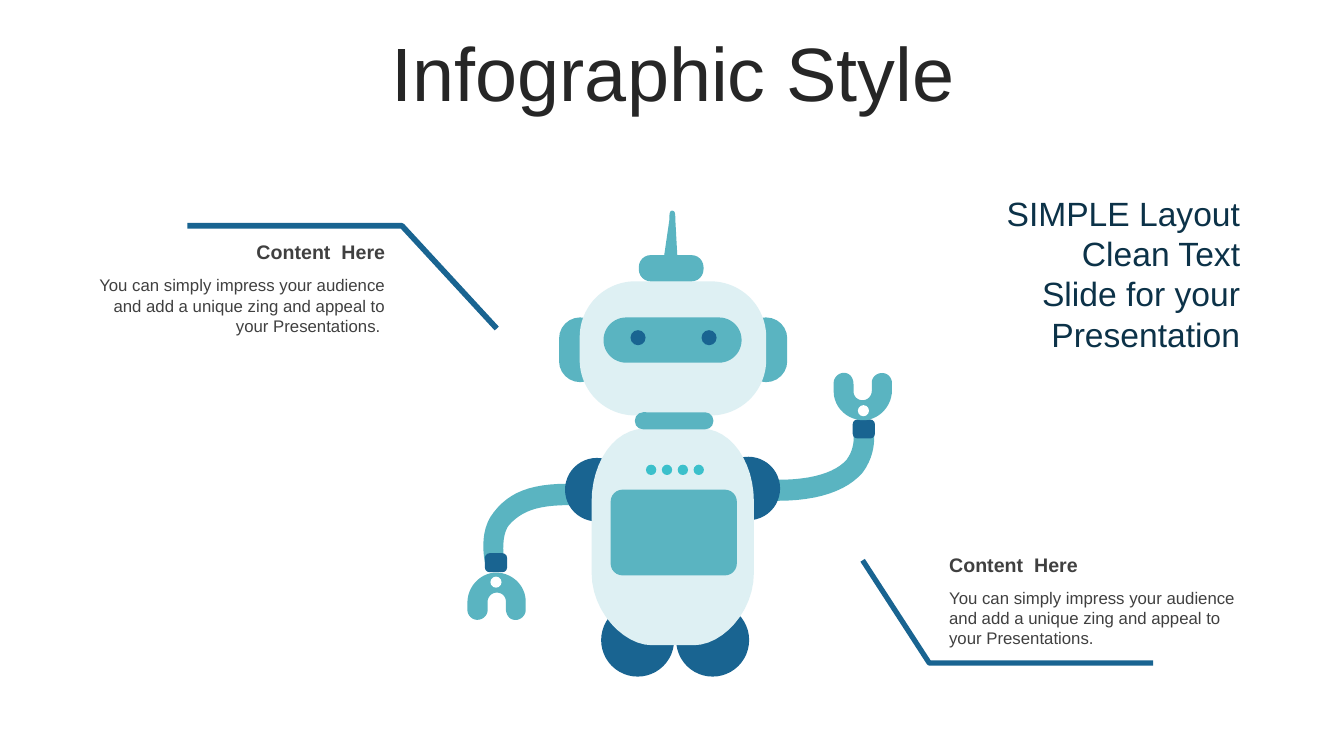
from dataclasses import dataclass

from pptx import Presentation
from pptx.dml.color import RGBColor
from pptx.enum.shapes import MSO_SHAPE
from pptx.enum.text import MSO_ANCHOR, MSO_AUTO_SIZE, PP_ALIGN
from pptx.util import Cm, Pt


@dataclass(frozen=True)
class Theme:
    font: str = "Arial"
    title: str = "262626"
    text: str = "404040"
    feature: str = "0C3248"
    navy: str = "196491"
    teal: str = "5AB4C1"
    pale: str = "DEF0F3"
    light: str = "3BC0CB"
    white: str = "FFFFFF"
    title_pt: int = 54
    feature_pt: int = 24
    heading_pt: int = 14
    body_pt: int = 12


T = Theme()

# All lengths are in centimetres.
TITLE = "Infographic Style"
FEATURE = "SIMPLE Layout Clean Text Slide for your Presentation"
BODY = "You can simply impress your audience and add a unique zing and appeal to your Presentations."
NOTES = [  # left, top, alignment, heading, body
    (23.67, 13.79, PP_ALIGN.LEFT, "Content  Here", BODY),
    (2.16, 5.92, PP_ALIGN.RIGHT, "Content  Here", BODY + " "),
]
NOTE_WIDTH, HEADING_HEIGHT, BODY_HEIGHT, BODY_OFFSET = 7.8, 0.86, 1.8, 0.89
CALLOUTS = [  # line width, corner points
    (4, [(12.52, 8.28), (10.13, 5.69), (4.72, 5.69)]),
    (3.75, [(21.74, 14.12), (23.42, 16.71), (29.06, 16.71)]),
]

# Outlines: a pair is a straight step, six numbers are a cubic curve.
LEFT_ARM = [
    (14.33, 12.19), (13.34, 12.19, 12.83, 12.42, 12.45, 12.9),
    (12.04, 13.39, 12.22, 14.15, 12.22, 14.17), (12.73, 14.15),
    (12.7, 14.2, 12.6, 13.51, 12.83, 13.23), (13.13, 12.9, 13.51, 12.73, 14.33, 12.73),
    (14.48, 12.73, 14.58, 12.6, 14.58, 12.45), (14.61, 12.29, 14.48, 12.19, 14.33, 12.19),
]
RIGHT_ARM = [
    (19.61, 12.62), (20.62, 12.62, 21.34, 12.37, 21.74, 11.91),
    (22.12, 11.4, 22.02, 10.87, 22.02, 10.85), (21.51, 10.95),
    (21.51, 10.97, 21.56, 11.28, 21.34, 11.58), (21.06, 11.91, 20.45, 12.09, 19.63, 12.09),
    (19.48, 12.09, 19.35, 12.22, 19.35, 12.34), (19.35, 12.5, 19.46, 12.62, 19.61, 12.62),
]
RIGHT_CLAW = [
    (21.01, 9.65), (21.01, 9.86), (21.01, 10.29, 21.39, 10.62, 21.82, 10.59),
    (22.2, 10.54, 22.48, 10.21, 22.48, 9.83), (22.48, 9.65),
    (22.48, 9.53, 22.38, 9.4, 22.23, 9.4), (22.1, 9.4, 21.97, 9.5, 21.97, 9.65),
    (21.97, 9.86), (21.97, 9.96, 21.89, 10.06, 21.79, 10.08),
    (21.64, 10.11, 21.51, 10.01, 21.51, 9.86), (21.51, 9.68),
    (21.51, 9.55, 21.44, 9.42, 21.31, 9.4), (21.16, 9.37, 21.01, 9.5, 21.01, 9.65),
]
TORSO = [
    (17.7, 10.8), (18.42, 10.82, 19, 11.63, 19, 12.65), (19, 14.43),
    (19, 15.42, 18.21, 16.26, 17.48, 16.26), (16.43, 16.26),
    (15.72, 16.26, 14.91, 15.42, 14.91, 14.43), (14.91, 12.65),
    (14.91, 11.63, 15.49, 10.82, 16.23, 10.8),
]
ANTENNA = [
    (16.87, 5.54), (16.74, 6.43), (16.74, 6.55, 16.81, 6.65, 16.89, 6.65),
    (17, 6.65, 17.07, 6.58, 17.07, 6.45), (17.02, 5.54),
    (17.02, 5.41, 17.02, 5.31, 16.94, 5.31), (16.87, 5.31, 16.87, 5.41, 16.87, 5.54),
]
HANDS_SUM = (34.26, 25.02)  # the left hand is the right one turned half round
LEFT_CLAW = [tuple(HANDS_SUM[i % 2] - v for i, v in enumerate(step)) for step in RIGHT_CLAW]

# Discs are (centre x, centre y, radius), boxes (left, top, width, height, corner radius).
ROBOT = [
    ("disc", T.navy, [(17.96, 16.13, 0.92), (16.07, 16.13, 0.92)]),  # feet
    ("outline", T.teal, [LEFT_ARM, RIGHT_ARM]),
    ("box", T.navy, [(12.22, 13.94, 0.56, 0.48, 0.12), (21.49, 10.57, 0.56, 0.48, 0.12)]),  # cuffs
    ("outline", T.teal, [LEFT_CLAW, RIGHT_CLAW]),
    ("disc", T.white, [(12.5, 14.67, 0.14), (21.76, 10.35, 0.14)]),  # claw joints
    ("disc", T.navy, [(18.86, 12.31, 0.8), (15.04, 12.34, 0.8)]),  # shoulders
    ("outline", T.pale, [TORSO]),
    ("box", T.teal, [(18.77, 8, 1.07, 1.63, 0.53), (14.09, 8, 1.07, 1.63, 0.53)]),  # ears
    ("box", T.pale, [(14.61, 7.09, 4.7, 3.38, 1.4)]),  # head
    ("box", T.teal, [(16.1, 6.43, 1.63, 0.66, 0.3)]),  # antenna base
    ("outline", T.teal, [ANTENNA]),
    ("disc", T.light, [(16.41 + 0.4 * i, 11.84, 0.13) for i in range(4)]),  # lamps
    ("box", T.teal, [(15.21, 8, 3.48, 1.14, 0.57)]),  # visor
    ("disc", T.navy, [(16.08, 8.51, 0.19), (17.87, 8.51, 0.19)]),  # eyes
    ("box", T.teal, [(16, 10.39, 1.98, 0.43, 0.21)]),  # neck
    ("box", T.teal, [(15.39, 12.34, 3.18, 2.16, 0.3)]),  # screen
]


def rgb(value):
    return RGBColor.from_string(value)


def flatten(outline, steps=12):
    """Turn straight and cubic steps into a list of points."""
    pts = [outline[0]]
    for step in outline[1:]:
        if len(step) == 2:
            pts.append(step)
            continue
        ctrl = [pts[-1], step[:2], step[2:4], step[4:]]
        for n in range(1, steps + 1):
            t = n / steps
            weights = ((1 - t) ** 3, 3 * t * (1 - t) ** 2, 3 * t * t * (1 - t), t ** 3)
            pts.append(tuple(sum(w * c[i] for w, c in zip(weights, ctrl)) for i in (0, 1)))
    return pts


def add_polygon(shapes, pts, close):
    pts = [(Cm(x), Cm(y)) for x, y in pts]
    fb = shapes.build_freeform(*pts[0], scale=1.0)
    fb.add_line_segments(pts[1:], close=close)
    sp = fb.convert_to_shape()
    sp.shadow.inherit = False
    return sp


def add_part(shapes, kind, geometry, color):
    if kind == "outline":
        sp = add_polygon(shapes, flatten(geometry), True)
    elif kind == "disc":
        x, y, r = geometry
        sp = shapes.add_shape(MSO_SHAPE.OVAL, Cm(x - r), Cm(y - r), Cm(2 * r), Cm(2 * r))
    else:
        *frame, radius = geometry
        sp = shapes.add_shape(MSO_SHAPE.ROUNDED_RECTANGLE, *map(Cm, frame))
        sp.adjustments[0] = min(0.5, radius / min(frame[2:]))
    sp.shadow.inherit = False
    sp.fill.solid()
    sp.fill.fore_color.rgb = rgb(color)
    sp.line.fill.background()


def write(tf, text, size, color, align, bold=False):
    p = tf.paragraphs[0]
    p.alignment = align
    r = p.add_run()
    r.text = text
    r.font.name, r.font.size, r.font.bold = T.font, Pt(size), bold
    r.font.color.rgb = rgb(color)
    return p


def add_text(shapes, frame, anchor, *style, **options):
    tf = shapes.add_textbox(*map(Cm, frame)).text_frame
    tf.word_wrap = True
    tf.auto_size = MSO_AUTO_SIZE.SHAPE_TO_FIT_TEXT
    tf.vertical_anchor = anchor
    write(tf, *style, **options)


def main():
    prs = Presentation()
    prs.slide_width, prs.slide_height = Cm(33.87), Cm(19.05)
    slide = prs.slides.add_slide(prs.slide_layouts[5])
    shapes = slide.shapes

    title = shapes.title
    title.left, title.top, title.width, title.height = map(Cm, (0.89, 0.94, 32.16, 2.01))
    title.text_frame.vertical_anchor = MSO_ANCHOR.MIDDLE
    p = write(title.text_frame, TITLE, T.title_pt, T.title, PP_ALIGN.CENTER)
    p.line_spacing = 0.9

    robot = shapes.add_group_shape()
    for kind, color, parts in ROBOT:
        for geometry in parts:
            add_part(robot.shapes, kind, geometry, color)

    for width, pts in CALLOUTS:
        sp = add_polygon(shapes, pts, False)
        sp.fill.background()
        sp.line.color.rgb = rgb(T.navy)
        sp.line.width = Pt(width)

    for left, top, align, heading, body in NOTES:
        note = shapes.add_group_shape().shapes
        add_text(note, (left, top + BODY_OFFSET, NOTE_WIDTH, BODY_HEIGHT), MSO_ANCHOR.TOP,
                 body, T.body_pt, T.text, align)
        add_text(note, (left, top, NOTE_WIDTH, HEADING_HEIGHT), MSO_ANCHOR.MIDDLE,
                 heading, T.heading_pt, T.text, align, bold=True)

    add_text(shapes, (24.97, 4.7, 6.53, 4.37), MSO_ANCHOR.MIDDLE,
             FEATURE, T.feature_pt, T.feature, PP_ALIGN.RIGHT)
    prs.save("out.pptx")


if __name__ == "__main__":
    main()
